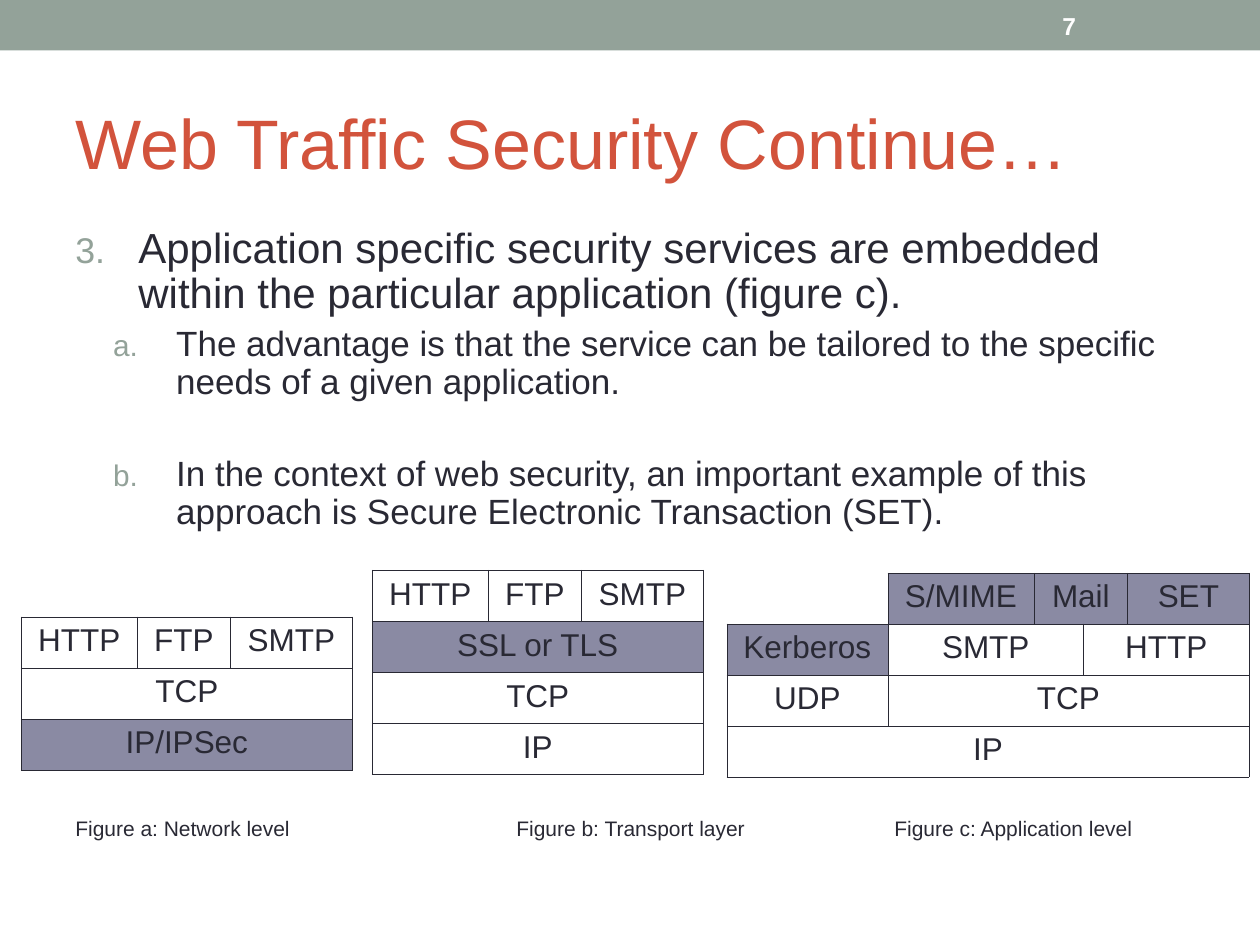
from lxml.etree import SubElement
from pptx import Presentation
from pptx.dml.color import RGBColor
from pptx.enum.shapes import MSO_SHAPE
from pptx.enum.text import MSO_ANCHOR, PP_ALIGN
from pptx.oxml.ns import qn
from pptx.util import Pt

COLORS = {"band": "93A299", "title": "D2533C", "text": "292934",
          "secured": "8A8AA3", "white": "FFFFFF"}
FONT = "Arial"
ROW_H = 29.15
BORDER = 0.45

TITLE = "Web Traffic Security Continue…"
# text, size, indent, space before, numbering style, first number
POINTS = [
    ("Application specific security services are embedded within the "
     "particular application (figure c).", 24, 36, 6, "arabicPeriod", 3),
    ("The advantage is that the service can be tailored to the specific "
     "needs of a given application.", 20, 57.6, 5, "alphaLcPeriod", 1),
    ("In the context of web security, an important example of this approach "
     "is Secure Electronic Transaction (SET).", 20, 57.6, 31, "alphaLcPeriod", 2),
]
HANGING = 36

# Each cell is text, columns spanned, and whether it is a security layer
APPS = [("HTTP", 1, False), ("FTP", 1, False), ("SMTP", 1, False)]
APP_COLS = [66.3, 53.3, 69.6]
STACKS = [
    {"at": (12.2, 352.6), "cols": APP_COLS, "rows": [
        APPS,
        [("TCP", 3, False)],
        [("IP/IPSec", 3, True)]]},
    {"at": (212.7, 325.9), "cols": APP_COLS, "rows": [
        APPS,
        [("SSL or TLS", 3, True)],
        [("TCP", 3, False)],
        [("IP", 3, False)]]},
    {"at": (415.4, 327.5), "cols": [92, 83.5, 28.4, 25.2, 69.3], "rows": [
        [("", 1, False), ("S/MIME", 1, True), ("Mail", 2, True), ("SET", 1, True)],
        [("Kerberos", 1, True), ("SMTP", 2, False), ("HTTP", 2, False)],
        [("UDP", 1, False), ("TCP", 4, False)],
        [("IP", 5, False)]]},
]
CAPTIONS = [(36, "Figure a: Network level"),
            (288, "Figure b: Transport layer"),
            (504, "Figure c: Application level")]


def rgb(name):
    return RGBColor.from_string(COLORS[name])


def add_run(p, text, size, color="text", bold=False):
    r = p.add_run()
    r.text = text
    r.font.name = FONT
    r.font.size = Pt(size)
    r.font.bold = bold
    r.font.color.rgb = rgb(color)


def add_box(s, x, y, w, h, anchor=MSO_ANCHOR.MIDDLE):
    tf = s.shapes.add_textbox(Pt(x), Pt(y), Pt(w), Pt(h)).text_frame
    tf.word_wrap = True
    tf.vertical_anchor = anchor
    return tf


def number(p, indent, style, start):
    """Give the paragraph a hanging automatic number."""
    pPr = p._p.get_or_add_pPr()
    pPr.set("marL", str(Pt(indent)))
    pPr.set("indent", str(-Pt(HANGING)))
    SubElement(SubElement(pPr, qn("a:buClr")), qn("a:srgbClr"), val=COLORS["band"])
    SubElement(pPr, qn("a:buSzPct"), val="85000")
    SubElement(pPr, qn("a:buFont"), typeface=FONT)
    SubElement(pPr, qn("a:buAutoNum"), type=style, startAt=str(start))


def add_borders(cell, sides):
    tcPr = cell._tc.get_or_add_tcPr()
    for side in sides:
        ln = SubElement(tcPr, qn(f"a:ln{side}"), w=str(Pt(BORDER)))
        fill = SubElement(ln, qn("a:solidFill"))
        SubElement(fill, qn("a:srgbClr"), val=COLORS["text"])


def add_stack(s, at, cols, rows):
    x, y = at
    table = s.shapes.add_table(len(rows), len(cols), Pt(x), Pt(y),
                               Pt(sum(cols)), Pt(ROW_H * len(rows))).table
    table.first_row = table.horz_banding = False
    for col, w in zip(table.columns, cols):
        col.width = Pt(w)
    for i, row in enumerate(rows):
        table.rows[i].height = Pt(ROW_H)
        start = 0
        for text, span, secured in row:
            first = table.cell(i, start)
            if span > 1:
                first.merge(table.cell(i, start + span - 1))
            for j in range(start, start + span):
                cell = table.cell(i, j)
                add_borders(cell, "LRTB" if text else "RB")
                if secured:
                    cell.fill.solid()
                    cell.fill.fore_color.rgb = rgb("secured")
                else:
                    cell.fill.background()
            if text:
                p = first.text_frame.paragraphs[0]
                p.alignment = PP_ALIGN.CENTER
                add_run(p, text, 18)
            start += span


prs = Presentation()
prs.slide_width, prs.slide_height = Pt(720), Pt(540)
s = prs.slides.add_slide(prs.slide_layouts[6])

band = s.shapes.add_shape(MSO_SHAPE.RECTANGLE, 0, 0, Pt(720), Pt(28.8))
band.shadow.inherit = False
band.fill.solid()
band.fill.fore_color.rgb = rgb("band")
band.line.fill.background()

add_run(add_box(s, 36, 42, 648, 78).paragraphs[0], TITLE, 40, "title")
add_run(add_box(s, 600, 1.5, 84, 26).paragraphs[0], "7", 14, "white", bold=True)

tf = add_box(s, 36, 126, 648, 190, MSO_ANCHOR.TOP)
for k, (text, size, indent, before, style, start) in enumerate(POINTS):
    p = tf.add_paragraph() if k else tf.paragraphs[0]
    p.line_spacing = 0.9
    p.space_before = Pt(before)
    number(p, indent, style, start)
    add_run(p, text, size)

for stack in STACKS:
    add_stack(s, **stack)

for x, text in CAPTIONS:
    add_run(add_box(s, x, 462, 180, 22).paragraphs[0], text, 12)

prs.save("out.pptx")
